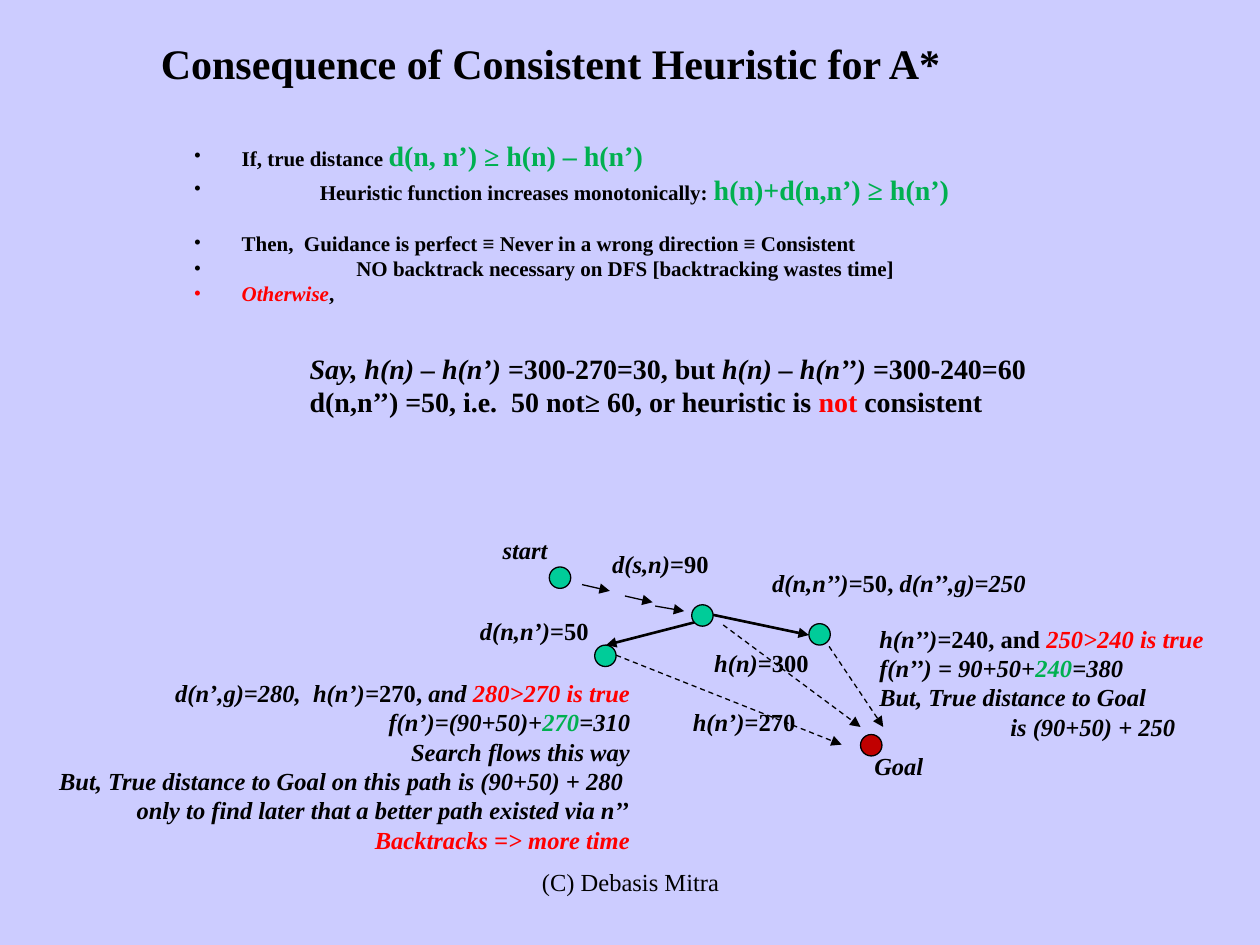
from lxml.etree import SubElement
from pptx import Presentation
from pptx.dml.color import RGBColor
from pptx.enum.dml import MSO_LINE
from pptx.enum.shapes import MSO_CONNECTOR, MSO_SHAPE
from pptx.enum.text import MSO_ANCHOR, MSO_AUTO_SIZE, PP_ALIGN
from pptx.oxml.ns import qn
from pptx.util import Inches, Pt

BACKGROUND = RGBColor(0xCC, 0xCC, 0xFF)
BLACK = RGBColor(0, 0, 0)
RED = RGBColor(0xFF, 0, 0)
GREEN = RGBColor(0, 0xB0, 0x50)
TEAL = RGBColor(0, 0xCC, 0x99)
DARK_RED = RGBColor(0xC0, 0, 0)
FONT = "Times New Roman"
NODE_SIZE = 0.17


def add_run(paragraph, text, size=14, color=BLACK, bold=True, italic=False):
    run = paragraph.add_run()
    run.text = text
    font = run.font
    font.name, font.size, font.bold, font.italic = FONT, Pt(size), bold, italic
    font.color.rgb = color


def italic(text, color=BLACK, size=14):
    return dict(text=text, color=color, size=size, italic=True)


def upright(text, color=BLACK, size=14):
    return dict(text=text, color=color, size=size)


def add_text(slide, box, lines, align=PP_ALIGN.LEFT, wrap=False):
    shape = slide.shapes.add_textbox(*map(Inches, box))
    frame = shape.text_frame
    frame.word_wrap = wrap
    if not wrap:
        frame.auto_size = MSO_AUTO_SIZE.SHAPE_TO_FIT_TEXT
    for number, runs in enumerate(lines):
        paragraph = frame.add_paragraph() if number else frame.paragraphs[0]
        paragraph.alignment = align
        for run in runs:
            add_run(paragraph, **run)
    return frame


def set_indent(paragraph, margin, first_line=0):
    properties = paragraph._p.get_or_add_pPr()
    properties.set("marL", str(Inches(margin)))
    properties.set("indent", str(Inches(first_line)))
    return properties


def add_bullet(paragraph, margin, color):
    properties = set_indent(paragraph, margin, -margin)
    bullet_color = SubElement(properties, qn("a:buClr"))
    SubElement(bullet_color, qn("a:srgbClr")).set("val", str(color))
    SubElement(properties, qn("a:buFont")).set("typeface", FONT)
    SubElement(properties, qn("a:buChar")).set("char", "•")


def add_title(slide, box):
    runs = [upright("Consequence of Consistent Heuristic for A*", size=24)]
    frame = add_text(slide, box, [runs], PP_ALIGN.CENTER, True)
    frame.vertical_anchor = MSO_ANCHOR.MIDDLE


def add_conditions(slide, box):
    lines = [
        [upright("If, true distance ", size=12),
         upright("d(n, n’) ≥ h(n) – h(n’)", GREEN, 16)],
        [upright("Heuristic function increases monotonically: ", size=12),
         upright("h(n)+d(n,n’) ≥ h(n’)", GREEN, 16)],
        [upright("Then,  Guidance is perfect ≡ Never in a wrong direction ≡ Consistent", size=12)],
        [upright("NO backtrack necessary on DFS [backtracking wastes time]", size=12)],
        [italic("Otherwise", RED, 12), upright(",", size=12)],
    ]
    frame = add_text(slide, box, lines, wrap=True)
    margins = [0.38, 1, 0.38, 1.29, 0.38]
    colors = [BLACK] * 4 + [RED]
    frame.paragraphs[2].space_before = Pt(14)
    for paragraph, margin, color in zip(frame.paragraphs, margins, colors):
        add_bullet(paragraph, margin, color)


def add_example(slide, box):
    add_text(slide, box, [
        [italic("Say, h(n) – h(n’) ", size=16), upright("=300-270=30, but ", size=16),
         italic("h(n) – h(n’’) ", size=16), upright("=300-240=60", size=16)],
        [upright("d(n,n’’) =50, i.e.  50 not≥ 60, or heuristic is ", size=16),
         upright("not", RED, 16), upright(" consistent", size=16)],
    ])


def add_left_branch(slide, box):
    add_text(slide, box, [
        [italic("d(n’,g)=280,  h(n’)"), upright("=270, "), italic("and "),
         italic("280>270 is true", RED)],
        [italic("f(n’)=(90+50)+"), italic("270", GREEN), italic("=310")],
        [italic("Search flows this way")],
        [italic("But, True distance to Goal on this path is (90+50) + 280 ")],
        [italic("only to find later that a better path existed via n’’")],
        [italic("Backtracks => more time", RED)],
    ], PP_ALIGN.RIGHT)


def add_right_branch(slide, box):
    frame = add_text(slide, box, [
        [italic("h(n’’)"), upright("=240, and "), italic("250>240 is true", RED)],
        [italic("f(n’’) = 90+50+"), italic("240", GREEN), italic("=380")],
        [italic("But, True distance to Goal")],
        [italic("is (90+50) + 250")],
    ])
    set_indent(frame.paragraphs[-1], 1.04)


def add_node(slide, left, top, color):
    node = slide.shapes.add_shape(MSO_SHAPE.OVAL, *map(Inches, (left, top, NODE_SIZE, NODE_SIZE)))
    node.shadow.inherit = False
    node.fill.solid()
    node.fill.fore_color.rgb = color
    node.line.color.rgb = BLACK
    node.line.width = Pt(0.75)


def add_arrow(slide, start, end, width=0.75, dashed=False):
    arrow = slide.shapes.add_connector(MSO_CONNECTOR.STRAIGHT, *map(Inches, start + end))
    arrow.line.color.rgb = BLACK
    arrow.line.width = Pt(width)
    if dashed:
        arrow.line.dash_style = MSO_LINE.DASH
    SubElement(arrow.line._get_or_add_ln(), qn("a:tailEnd")).set("type", "triangle")
    SubElement(arrow._element.spPr, qn("a:effectLst"))


def add_search_graph(slide, box):
    left, top = box[:2]

    def place(x, y):
        return left + x, top + y

    nodes = [(0.66, 0.3, TEAL), (1.79, 0.6, TEAL), (1.02, 0.92, TEAL),
             (2.72, 0.75, TEAL), (3.13, 1.63, DARK_RED)]
    for x, y, color in nodes:
        add_node(slide, *place(x, y), color)

    arrows = [
        ((0.92, 0.44), (1.14, 0.49), 0.75, False),
        ((1.26, 0.53), (1.48, 0.58), 0.75, False),
        ((1.5, 0.61), (1.73, 0.65), 0.75, False),
        ((1.81, 0.74), (1.11, 0.92), 1.5, False),
        ((1.96, 0.68), (2.72, 0.84), 1.5, False),
        ((2.04, 0.76), (3.13, 1.57), 0.75, True),
        ((1.19, 1), (2.98, 1.71), 0.75, True),
        ((2.88, 0.93), (3.31, 1.57), 0.75, True),
    ]
    for start, end, width, dashed in arrows:
        add_arrow(slide, place(*start), place(*end), width, dashed)

    labels = [
        (0.19, 0, 0.56, [italic("start")]),
        (3.14, 1.71, 0.59, [italic("Goal")]),
        (1.06, 0.11, 0.98, [italic("d(s,n)"), upright("=90")]),
        (0.01, 0.64, 1.08, [italic("d(n,n’)"), upright("=50")]),
        (2.33, 0.26, 2.34, [italic("d(n,n’’)"), upright("=50, "), italic("d(n’’,g)=250")]),
        (1.87, 0.89, 0.95, [italic("h(n)"), upright("=300")]),
        (1.7, 1.36, 1.03, [italic("h(n’)"), upright("=270")]),
    ]
    for x, y, width, runs in labels:
        add_text(slide, (*place(x, y), width, 0.34), [runs])


def add_footer(slide, box):
    runs = [dict(text="(C) Debasis Mitra", bold=False)]
    add_text(slide, box, [runs], PP_ALIGN.CENTER, True)


def main():
    presentation = Presentation()
    presentation.slide_width = Inches(10)
    presentation.slide_height = Inches(7.5)
    slide = presentation.slides.add_slide(presentation.slide_layouts[6])
    slide.background.fill.solid()
    slide.background.fill.fore_color.rgb = BACKGROUND
    add_title(slide, (0.58, 0.08, 7.58, 0.83))
    add_conditions(slide, (1.44, 1.05, 7.64, 1.44))
    add_example(slide, (2.36, 2.74, 5.96, 0.64))
    add_search_graph(slide, (3.7, 4.2, 4.67, 2.05))
    add_left_branch(slide, (0.36, 5.33, 4.74, 1.5))
    add_right_branch(slide, (6.88, 4.9, 2.79, 1.04))
    add_footer(slide, (3.42, 6.83, 3.17, 0.5))
    presentation.save("out.pptx")


if __name__ == "__main__":
    main()
